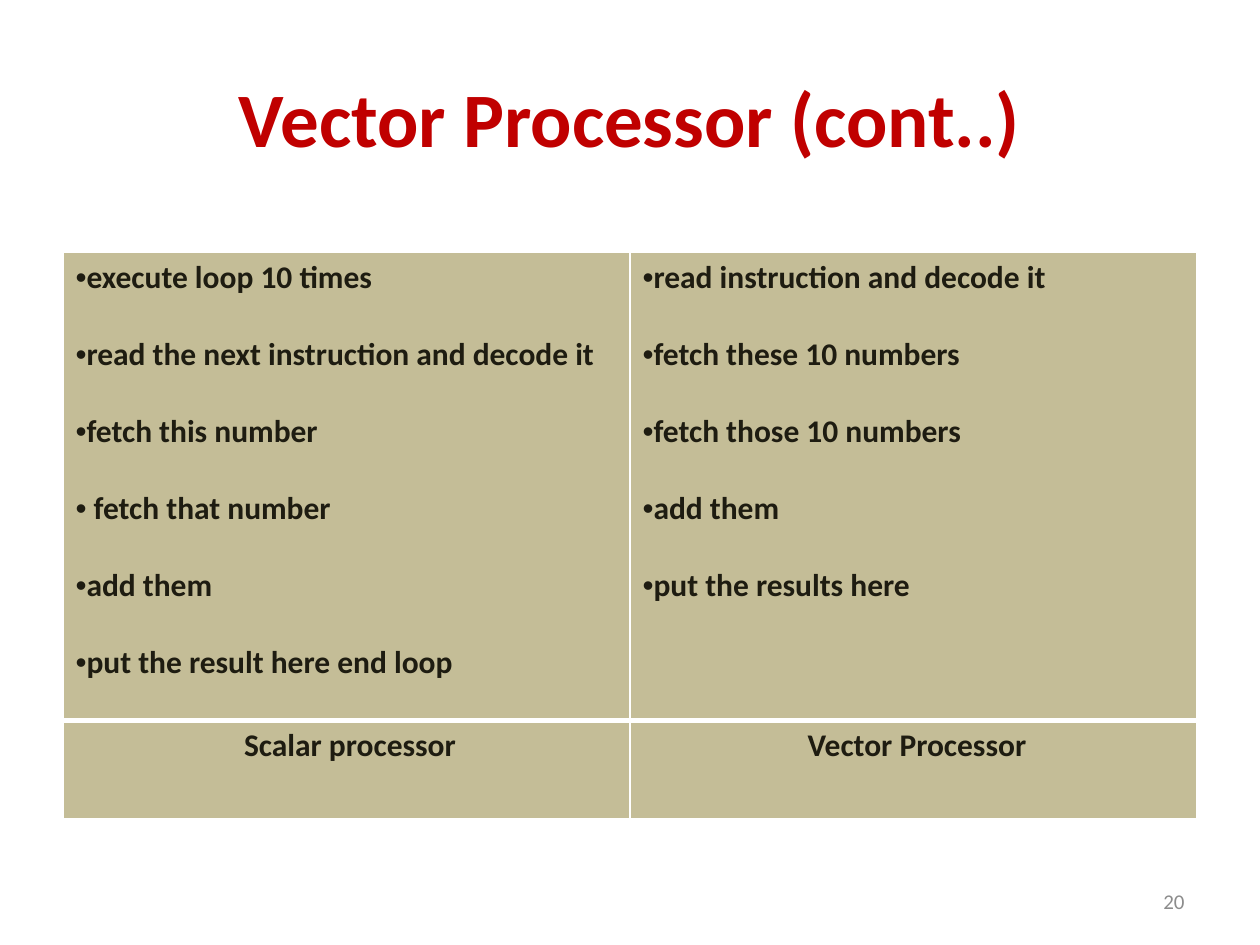
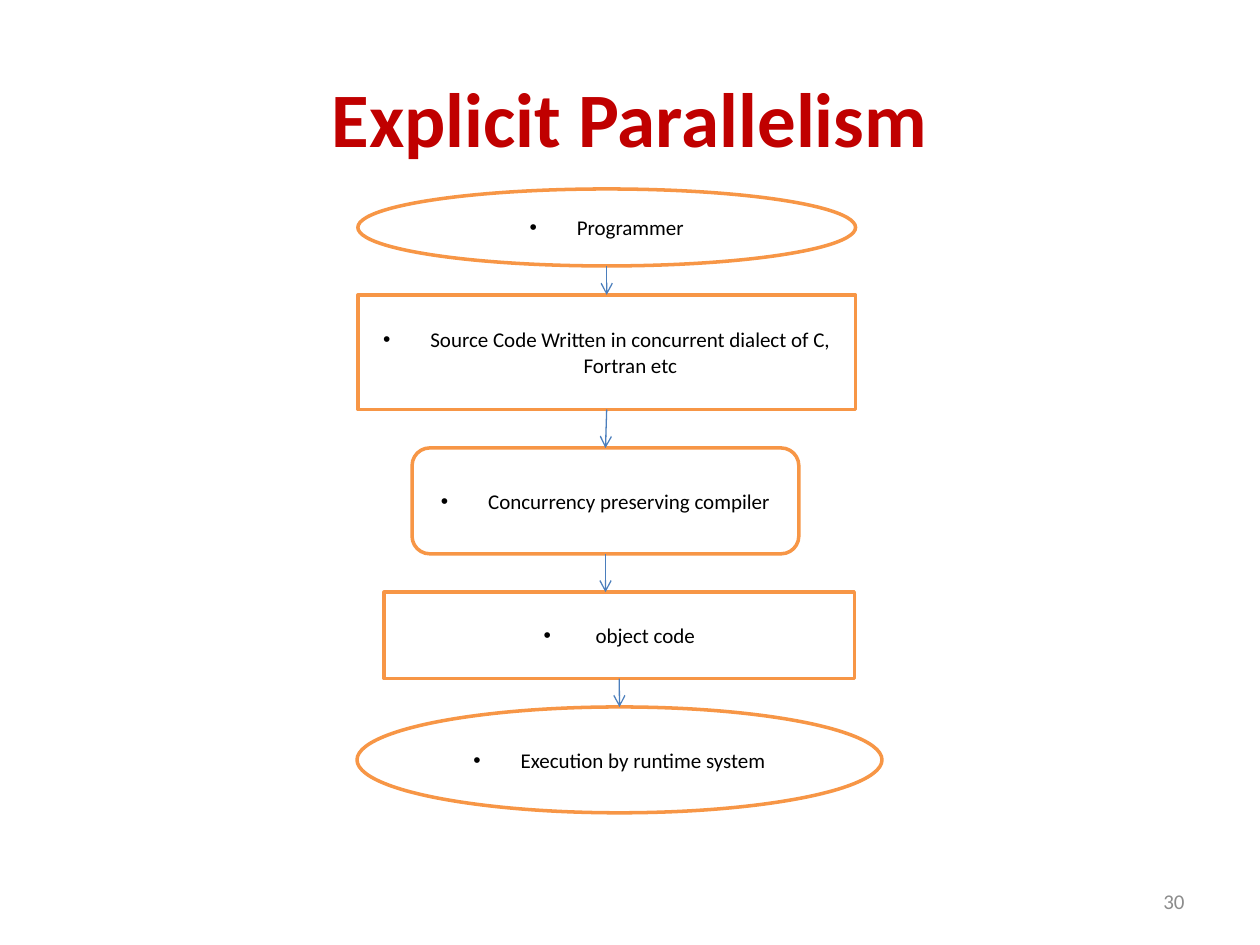
"""Build two lecture slides: a scalar and vector comparison table and an explicit parallelism flowchart."""
from itertools import pairwise

from lxml.etree import SubElement
from pptx import Presentation
from pptx.dml.color import RGBColor
from pptx.enum.shapes import MSO_CONNECTOR, MSO_SHAPE
from pptx.enum.text import MSO_ANCHOR, PP_ALIGN
from pptx.oxml import parse_xml
from pptx.oxml.ns import nsdecls, qn
from pptx.util import Pt

rgb = RGBColor.from_string
FONT = "Calibri"
TITLE_RED, NUMBER_GREY = "C00000", "8C8C8C"
WHITE, BLACK = "FFFFFF", "000000"
TABLE_FILL, TABLE_TEXT = "C4BD97", "1E1C11"
BOX_LINE, ARROW_LINE = "F79646", "4B7EBC"


def write(frame, text, size, color, bold=False, align=PP_ALIGN.CENTER):
    frame.word_wrap = True
    frame.text = text
    for paragraph in frame.paragraphs:
        paragraph.alignment = align
        for run in paragraph.runs:
            run.font.name = FONT
            run.font.size = Pt(size)
            run.font.bold = bold
            run.font.color.rgb = rgb(color)


def add_bullet(paragraph, indent):
    properties = paragraph._p.get_or_add_pPr()
    properties.set("marL", str(Pt(indent)))
    properties.set("indent", str(-Pt(indent)))
    SubElement(properties, qn("a:buFont")).set("typeface", "Arial")
    SubElement(properties, qn("a:buChar")).set("char", "•")


presentation = Presentation()
presentation.slide_width, presentation.slide_height = Pt(720), Pt(540)

slides = []
for title, number in [("Vector Processor (cont..)", "20"), ("Explicit Parallelism", "30")]:
    slide = presentation.slides.add_slide(presentation.slide_layouts[6])
    title_box = slide.shapes.add_textbox(Pt(36), Pt(21.6), Pt(648), Pt(90))
    write(title_box.text_frame, title, 44, TITLE_RED, bold=True)
    number_box = slide.shapes.add_textbox(Pt(516), Pt(500.5), Pt(168), Pt(28.75))
    write(number_box.text_frame, number, 12, NUMBER_GREY, align=PP_ALIGN.RIGHT)
    for box in (title_box, number_box):
        box.text_frame.vertical_anchor = MSO_ANCHOR.MIDDLE
    slides.append(slide)
table_slide, flow_slide = slides

processors = {
    " Scalar processor": [
        "execute loop 10 times",
        "read the next instruction and decode it",
        "fetch this number",
        " fetch that number",
        "add them",
        "put the result here end loop",
    ],
    " Vector Processor": [
        "read instruction and decode it",
        "fetch these 10 numbers",
        "fetch those 10 numbers",
        "add them",
        "put the results here",
    ],
}
table = table_slide.shapes.add_table(2, 2, Pt(36), Pt(144), Pt(648), Pt(324)).table
table.rows[0].height, table.rows[1].height = Pt(267.8), Pt(56.2)
for column, (name, steps) in enumerate(processors.items()):
    steps_cell, name_cell = table.cell(0, column), table.cell(1, column)
    write(steps_cell.text_frame, "\n".join(steps), 18, TABLE_TEXT, True, PP_ALIGN.LEFT)
    write(name_cell.text_frame, name, 18, TABLE_TEXT, True)
    for paragraph in steps_cell.text_frame.paragraphs[1:]:
        paragraph.space_before = Pt(22)
    for paragraph in steps_cell.text_frame.paragraphs:
        add_bullet(paragraph, 0)
    for cell, thick_side in [(steps_cell, "lnB"), (name_cell, "lnT")]:
        cell.fill.solid()
        cell.fill.fore_color.rgb = rgb(TABLE_FILL)
        for position, side in enumerate(["lnL", "lnR", "lnT", "lnB"]):
            width = Pt(3 if side == thick_side else 1)
            border = parse_xml(
                f'<a:{side} {nsdecls("a")} w="{width}"><a:solidFill>'
                f'<a:srgbClr val="{WHITE}"/></a:solidFill></a:{side}>'
            )
            cell._tc.get_or_add_tcPr().insert(position, border)

stages = [
    ("Programmer", MSO_SHAPE.OVAL, 204.5, 108, 284.4, 44),
    ("Source Code Written in concurrent dialect of C, Fortran etc",
     MSO_SHAPE.RECTANGLE, 204.5, 168.5, 284.4, 65.5),
    ("Concurrency preserving compiler", MSO_SHAPE.ROUNDED_RECTANGLE, 235.5, 256, 221, 60.5),
    (" object code", MSO_SHAPE.RECTANGLE, 219.6, 338.4, 268.6, 49.4),
    ("Execution by runtime system", MSO_SHAPE.OVAL, 204, 404, 300, 60.5),
]
stage_shapes = []
for text, kind, left, top, width, height in stages:
    shape = flow_slide.shapes.add_shape(kind, Pt(left), Pt(top), Pt(width), Pt(height))
    shape.shadow.inherit = False
    shape.fill.solid()
    shape.fill.fore_color.rgb = rgb(WHITE)
    shape.line.color.rgb = rgb(BOX_LINE)
    shape.line.width = Pt(2)
    write(shape.text_frame, text, 12, BLACK)
    shape.text_frame.vertical_anchor = MSO_ANCHOR.MIDDLE
    add_bullet(shape.text_frame.paragraphs[0], 27)
    stage_shapes.append(shape)

for upper, lower in pairwise(stage_shapes):
    center = upper.left + upper.width // 2
    arrow = flow_slide.shapes.add_connector(
        MSO_CONNECTOR.STRAIGHT, center, upper.top + upper.height, center, lower.top
    )
    if upper.auto_shape_type != MSO_SHAPE.OVAL:
        arrow.begin_connect(upper, 2)
    if abs(lower.left + lower.width // 2 - center) < Pt(2):
        arrow.end_connect(lower, 0)
    arrow.line.color.rgb = rgb(ARROW_LINE)
    arrow.line.width = Pt(0.75)
    SubElement(arrow.line._get_or_add_ln(), qn("a:tailEnd")).set("type", "arrow")
    SubElement(arrow._element.spPr, qn("a:effectLst"))

presentation.save("out.pptx")
